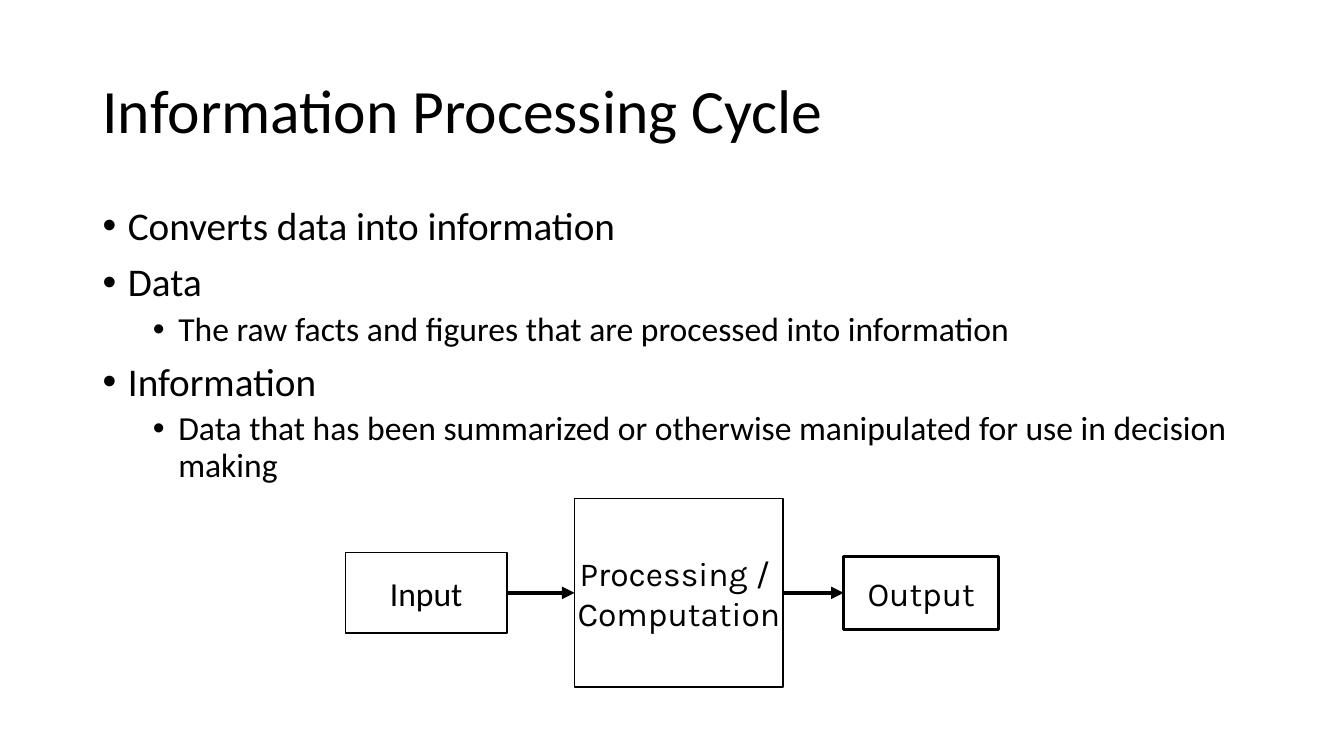
"""Build the Information Processing Cycle slide."""
from lxml.etree import SubElement
from pptx import Presentation
from pptx.dml.color import RGBColor
from pptx.enum.shapes import MSO_CONNECTOR as CONN, MSO_SHAPE as SHAPE
from pptx.enum.text import MSO_ANCHOR as ANCHOR, MSO_AUTO_SIZE as AUTO, PP_ALIGN as ALIGN
from pptx.oxml.ns import qn
from pptx.util import Cm, Pt

TITLE = "Information Processing Cycle"
BULLETS = [
    (0, "Converts data into information"),
    (0, "Data"),
    (1, "The raw facts and figures that are processed into information"),
    (0, "Information"),
    (1, "Data that has been summarized or otherwise manipulated for use in decision making"),
]
# text, left, width, height, line width, font
STEPS = [
    ("Input", 8.71, 4.06, 2.03, 1.25, "Calibri"),
    ("Processing / \nComputation", 14.48, 5.26, 4.75, 1.25, "Karla"),
    ("Output", 21.26, 3.91, 1.85, 2, "Karla"),
]
LEVELS = [
    {"size": 28, "before": 10, "indent": 0.64},
    {"size": 24, "before": 5, "indent": 1.91},
]
COLORS = {"ink": "000000", "paper": "FFFFFF"}
LEFT, WIDTH, HANG, FLOW_Y = 2.33, 29.21, 0.64, 14.94


def rgb(name):
    """Return the named colour."""
    return RGBColor.from_string(COLORS[name])


def write(p, text, size=24, font="Calibri", align=ALIGN.LEFT, spacing=None, before=0, indent=None):
    """Fill a paragraph with formatted text, bulleted when indented."""
    p.alignment, p.space_before = align, Pt(before)
    if spacing:
        p.line_spacing = spacing
    if indent is not None:
        pPr = p._p.get_or_add_pPr()
        pPr.set("marL", str(Cm(indent)))
        pPr.set("indent", str(-Cm(HANG)))
        SubElement(pPr, qn("a:buFont")).set("typeface", "Arial")
        SubElement(pPr, qn("a:buChar")).set("char", "•")
    for i, line in enumerate(text.split("\n")):
        if i:
            p.add_line_break()
        r = p.add_run()
        r.text = line
        r.font.size, r.font.name = Pt(size), font
        r.font.color.rgb = rgb("ink")


def place(sp, top, height, anchor):
    """Position a placeholder and return its text frame."""
    sp.left, sp.top, sp.width, sp.height = Cm(LEFT), Cm(top), Cm(WIDTH), Cm(height)
    tf = sp.text_frame
    tf.auto_size, tf.vertical_anchor = AUTO.NONE, anchor
    return tf


def add_step(s, text, left, width, height, line, font):
    """Add one box centred on the flow line."""
    sp = s.shapes.add_shape(SHAPE.RECTANGLE, Cm(left), Cm(FLOW_Y - height / 2), Cm(width), Cm(height))
    sp.shadow.inherit = False
    sp.fill.solid()
    sp.fill.fore_color.rgb = rgb("paper")
    sp.line.color.rgb, sp.line.width = rgb("ink"), Pt(line)
    tf = sp.text_frame
    tf.word_wrap, tf.vertical_anchor = False, ANCHOR.MIDDLE
    write(tf.paragraphs[0], text, font=font, align=ALIGN.CENTER)
    return sp


def add_arrow(s, start, end):
    """Join the right side of one box to the left side of the next."""
    y = Cm(FLOW_Y)
    cn = s.shapes.add_connector(CONN.STRAIGHT, start.left + start.width, y, end.left, y)
    cn.line.color.rgb, cn.line.width = rgb("ink"), Pt(3)
    SubElement(cn.line._get_or_add_ln(), qn("a:tailEnd")).set("type", "triangle")
    SubElement(cn._element.spPr, qn("a:effectLst"))


def main():
    """Assemble and save the slide."""
    prs = Presentation()
    prs.slide_width, prs.slide_height = Cm(33.87), Cm(19.05)
    s = prs.slides.add_slide(prs.slide_layouts[1])
    tf = place(s.shapes.title, 1.01, 3.68, ANCHOR.MIDDLE)
    write(tf.paragraphs[0], TITLE, size=44, spacing=0.9)
    tf = place(s.placeholders[1], 5.08, 12.09, ANCHOR.TOP)
    for i, (level, text) in enumerate(BULLETS):
        p = tf.add_paragraph() if i else tf.paragraphs[0]
        p.level = level
        write(p, text, spacing=0.9, **LEVELS[level])
    boxes = [add_step(s, *step) for step in STEPS]
    for start, end in zip(boxes, boxes[1:]):
        add_arrow(s, start, end)
    prs.save("out.pptx")


if __name__ == "__main__":
    main()
